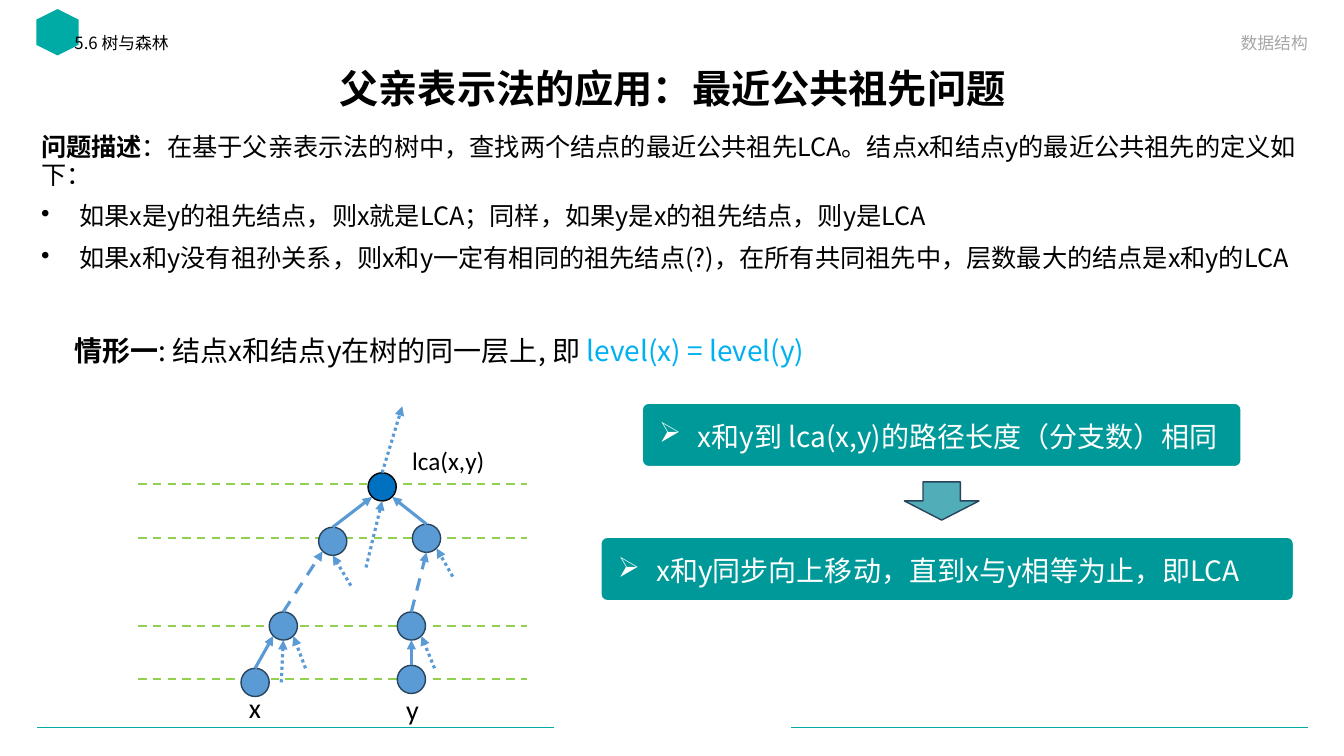
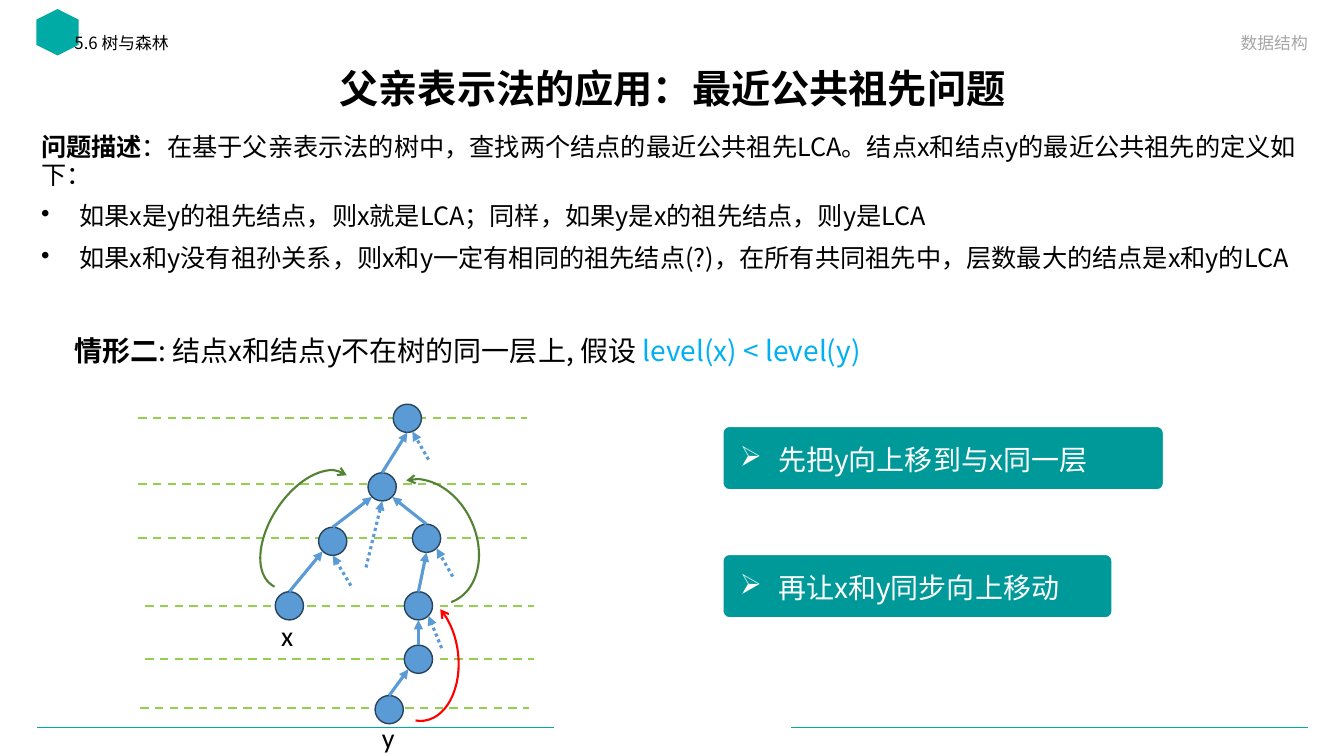
from lxml.etree import SubElement
from pptx import Presentation
from pptx.dml.color import RGBColor
from pptx.enum.dml import MSO_LINE
from pptx.enum.shapes import MSO_CONNECTOR, MSO_SHAPE
from pptx.enum.text import MSO_ANCHOR, MSO_AUTO_SIZE, PP_ALIGN
from pptx.oxml.ns import qn
from pptx.util import Pt

PX = 9144  # EMU in one px, 100 px to the inch
CJK, LATIN = "Noto Sans CJK SC", "Calibri"

BLACK = RGBColor(0x00, 0x00, 0x00)
WHITE = RGBColor(0xFF, 0xFF, 0xFF)
GRAY = RGBColor(0xA6, 0xA6, 0xA6)
TEAL = RGBColor(0x00, 0xAB, 0xA5)
CALLOUT = RGBColor(0x00, 0x99, 0x99)
ARROW = RGBColor(0x51, 0xAD, 0xB7)
SKY = RGBColor(0x00, 0xB0, 0xF0)
NODE = RGBColor(0x5B, 0x9B, 0xD5)
NODE_LINE = RGBColor(0x28, 0x44, 0x5D)
ANCESTOR = RGBColor(0x00, 0x70, 0xC0)
LEVEL = RGBColor(0x92, 0xD0, 0x50)
GREEN = RGBColor(0x54, 0x82, 0x35)
RED = RGBColor(0xFF, 0x00, 0x00)

TITLE = "父亲表示法的应用：最近公共祖先问题"
PROBLEM = [
    ("", [("问题描述", True, BLACK),
          ("：在基于父亲表示法的树中，查找两个结点的最近公共祖先LCA。"
           "结点x和结点y的最近公共祖先的定义如下：", False, BLACK)]),
    ("•", [("如果x是y的祖先结点，则x就是LCA；同样，如果y是x的祖先结点，则y是LCA",
            False, BLACK)]),
    ("•", [("如果x和y没有祖孙关系，则x和y一定有相同的祖先结点(?)，"
            "在所有共同祖先中，层数最大的结点是x和y的LCA", False, BLACK)]),
]

# Tree parts: nodes by left and top, edges by child, parent and site on the parent
DIAMETER = 28
SITES = {"left": (-10, 10), "bottom": (0, 14), "lower": (5, 13), "right": (10, 10)}
UPPER_NODES = {"lca": (365, 469), "left": (316, 523), "right": (409, 520)}
UPPER_EDGES = [("left", "lca", "left"), ("right", "lca", "right")]
UPPER_BRANCHES = [((363, 563), "lca", "bottom"), ((449, 572), "right", "right"),
                  ((348, 581), "left", "bottom")]


def px(*lengths):
    return [round(length * PX) for length in lengths]


# Text
def add_bullet(paragraph, bullet):
    properties = paragraph._p.get_or_add_pPr()
    properties.set("marL", str(38 * PX))
    properties.set("indent", str(-38 * PX))
    SubElement(properties, qn("a:buChar")).set("char", bullet)


def add_run(paragraph, text, size, bold=False, color=BLACK, font=CJK):
    run = paragraph.add_run()
    run.text = text
    run.font.size = Pt(size)
    run.font.bold = bold
    run.font.name = font
    run.font.color.rgb = color
    SubElement(run.font._element, qn("a:ea")).set("typeface", font)


def add_text(slide, box, runs, size, font=CJK, wrap=True, spacing=None,
             align=PP_ALIGN.LEFT, anchor=MSO_ANCHOR.TOP):
    """One paragraph in a text box."""
    shape = slide.shapes.add_textbox(*px(*box))
    frame = shape.text_frame
    frame.word_wrap = wrap
    frame.vertical_anchor = anchor
    paragraph = frame.paragraphs[0]
    paragraph.alignment = align
    paragraph.line_spacing = spacing
    for text, bold, color in runs:
        add_run(paragraph, text, size, bold, color, font)


def add_label(slide, left, top, width, text, size=20):
    add_text(slide, (left, top, width, 44), [(text, False, BLACK)], size, LATIN, wrap=False)


def add_problem(slide):
    frame = slide.shapes.add_textbox(*px(31, 128, 1271, 179)).text_frame
    frame.word_wrap = True
    for index, (bullet, runs) in enumerate(PROBLEM):
        paragraph = frame.add_paragraph() if index else frame.paragraphs[0]
        if bullet:
            add_bullet(paragraph, bullet)
        paragraph.line_spacing = 0.92
        if index:
            paragraph.space_before = Pt(10)
        for text, bold, color in runs:
            add_run(paragraph, text, 18, bold, color)


# Lines and shapes
def add_line(slide, start, end, color, width, dash=None, arrow=False):
    connector = slide.shapes.add_connector(MSO_CONNECTOR.STRAIGHT, *px(*start, *end))
    connector.line.color.rgb = color
    connector.line.width = Pt(width)
    if dash:
        connector.line.dash_style = dash
    properties = connector.element.spPr
    if arrow:
        SubElement(properties.find(qn("a:ln")), qn("a:tailEnd")).set("type", "triangle")
    SubElement(properties, qn("a:effectLst"))
    return connector


def add_shape(slide, kind, box, fill=None, line=None, width=1):
    shape = slide.shapes.add_shape(kind, *px(*box))
    shape.shadow.inherit = False
    if fill is None:
        shape.fill.background()
    else:
        shape.fill.solid()
        shape.fill.fore_color.rgb = fill
    if line is None:
        shape.line.fill.background()
    else:
        shape.line.color.rgb = line
        shape.line.width = Pt(width)
    return shape


def add_callout(slide, left, top, width, text):
    shape = add_shape(slide, MSO_SHAPE.ROUNDED_RECTANGLE, (left, top, width, 63), CALLOUT, WHITE)
    shape.adjustments[0] = 0.1
    frame = shape.text_frame
    frame.word_wrap = True
    frame.vertical_anchor = MSO_ANCHOR.MIDDLE
    frame.margin_left, frame.margin_right, frame.margin_top, frame.margin_bottom = px(15, 15, 15, 15)
    paragraph = frame.paragraphs[0]
    add_bullet(paragraph, "➢")
    paragraph.alignment = PP_ALIGN.LEFT
    paragraph.line_spacing = Pt(26)
    add_run(paragraph, text, 20, color=WHITE)


def add_arc(slide, box, rotation, angles, color, flip=False):
    """Curved arrow pointing at the arc's start angle."""
    arc = add_shape(slide, MSO_SHAPE.ARC, box, line=color, width=1.5)
    arc.rotation = rotation
    for index, degrees in enumerate(angles):
        arc.adjustments[index] = degrees * 0.6
    properties = arc.element.spPr
    if flip:
        properties.find(qn("a:xfrm")).set("flipH", "1")
    SubElement(properties.find(qn("a:ln")), qn("a:headEnd")).set("type", "arrow")


# Tree
def add_levels(slide, levels):
    for left, top in levels:
        add_line(slide, (left, top), (left + 386, top), LEVEL, 1.5, MSO_LINE.DASH)


def add_tree(slide, places, edges, dashed_edges, branches):
    nodes = {name: add_shape(slide, MSO_SHAPE.OVAL, (*place, DIAMETER, DIAMETER), NODE, NODE_LINE)
             for name, place in places.items()}

    def site_point(name, site):
        return [place + DIAMETER // 2 + shift for place, shift in zip(places[name], SITES[site])]

    for group, dash in ((edges, None), (dashed_edges, MSO_LINE.DASH)):
        for child, parent, site in group:
            connector = add_line(slide, places[child], site_point(parent, site),
                                 NODE, 2.25, dash, arrow=True)
            connector.begin_connect(nodes[child], 0)
    for start, parent, site in branches:
        add_line(slide, start, site_point(parent, site), NODE, 2.25, MSO_LINE.ROUND_DOT, arrow=True)
    return nodes


# What both slides share
def add_base_slide(presentation, case_width, case, condition, formula):
    slide = presentation.slides.add_slide(presentation.slide_layouts[5])
    for left in (37, 785):
        add_line(slide, (left, 722), (left + 512, 722), TEAL, 0.5)
    add_shape(slide, MSO_SHAPE.HEXAGON, (34, 11, 46, 42), TEAL).rotation = 90

    title = slide.shapes.title
    title.left, title.top, title.width, title.height = px(92, 62, 1150, 57)
    frame = title.text_frame
    frame.auto_size = MSO_AUTO_SIZE.NONE
    frame.vertical_anchor = MSO_ANCHOR.MIDDLE
    paragraph = frame.paragraphs[0]
    paragraph.alignment = PP_ALIGN.CENTER
    paragraph.line_spacing = 0.9
    add_run(paragraph, TITLE, 28, bold=True)

    add_text(slide, (64, 30, 532, 36), [("5.6 树与森林", False, BLACK)], 12, spacing=0.9)
    add_text(slide, (743, 22, 564, 35), [("数据结构", False, GRAY)], 12,
             align=PP_ALIGN.RIGHT, anchor=MSO_ANCHOR.BOTTOM)
    add_problem(slide)
    add_text(slide, (64, 331, case_width, 80),
             [(case, True, BLACK), (condition, False, BLACK), (formula, False, SKY)],
             20, spacing=0.84)
    return slide


def build_same_level(presentation):
    slide = add_base_slide(presentation, 763, "情形一", ": 结点x和结点y在树的同一层上, 即 ",
                           "level(x) = level(y)")
    add_levels(slide, [(137, top) for top in (480, 534, 621, 674)])
    places = UPPER_NODES | {"low left": (267, 607), "low right": (394, 607),
                            "x": (239, 663), "y": (394, 660)}
    nodes = add_tree(
        slide, places,
        UPPER_EDGES + [("x", "low left", "left"), ("y", "low right", "bottom")],
        [("low left", "left", "left"), ("low right", "right", "bottom")],
        UPPER_BRANCHES + [((303, 663), "low left", "right"), ((279, 677), "low left", "bottom"),
                          ((431, 663), "low right", "right")])
    ancestor = nodes["lca"]
    ancestor.fill.fore_color.rgb = ANCESTOR
    ancestor.line.color.rgb = BLACK
    upward = add_line(slide, places["lca"], (399, 403), NODE, 2.25, MSO_LINE.ROUND_DOT, arrow=True)
    upward.begin_connect(ancestor, 0)
    add_label(slide, 237, 680, 32, "x")
    add_label(slide, 393, 682, 33, "y")
    add_label(slide, 399, 437, 93, "lca(x,y)", 18)

    add_callout(slide, 637, 400, 594, "x和y到 lca(x,y)的路径长度（分支数）相同")
    add_callout(slide, 596, 533, 687, "x和y同步向上移动，直到x与y相等为止，即LCA")
    add_shape(slide, MSO_SHAPE.DOWN_ARROW, (897, 478, 74, 38), ARROW, NODE_LINE)


def build_different_levels(presentation):
    slide = add_base_slide(presentation, 819, "情形二", ": 结点x和结点y不在树的同一层上, 假设 ",
                           "level(x) < level(y)")
    add_levels(slide, [(137, 415), (137, 480), (137, 534), (144, 601), (144, 654), (139, 702)])
    add_tree(
        slide,
        UPPER_NODES | {"root": (390, 401), "x": (273, 587), "low right": (401, 587),
                       "parent of y": (401, 640), "y": (372, 690)},
        UPPER_EDGES + [("lca", "root", "bottom"), ("x", "left", "left"),
                       ("low right", "right", "bottom"), ("parent of y", "low right", "bottom"),
                       ("y", "parent of y", "left")],
        [],
        UPPER_BRANCHES + [((438, 643), "low right", "right"), ((425, 456), "root", "lower")])
    add_label(slide, 269, 609, 32, "x")
    add_label(slide, 369, 710, 33, "y")

    add_callout(slide, 717, 423, 437, "先把y向上移到与x同一层")
    add_callout(slide, 717, 550, 386, "再让x和y同步向上移动")

    # Moves up the tree
    add_arc(slide, (350, 611, 126, 83), 83.4, (212.8, 7.4), RED)
    add_arc(slide, (359, 489, 129, 97), 65.8, (185.5, 2.4), GREEN)
    add_arc(slide, (240, 488, 132, 75), 303.2, (178.1, 2.4), GREEN, flip=True)


def main():
    presentation = Presentation()
    presentation.slide_width, presentation.slide_height = px(1333, 750)
    build_same_level(presentation)
    build_different_levels(presentation)
    presentation.save("out.pptx")


if __name__ == "__main__":
    main()
